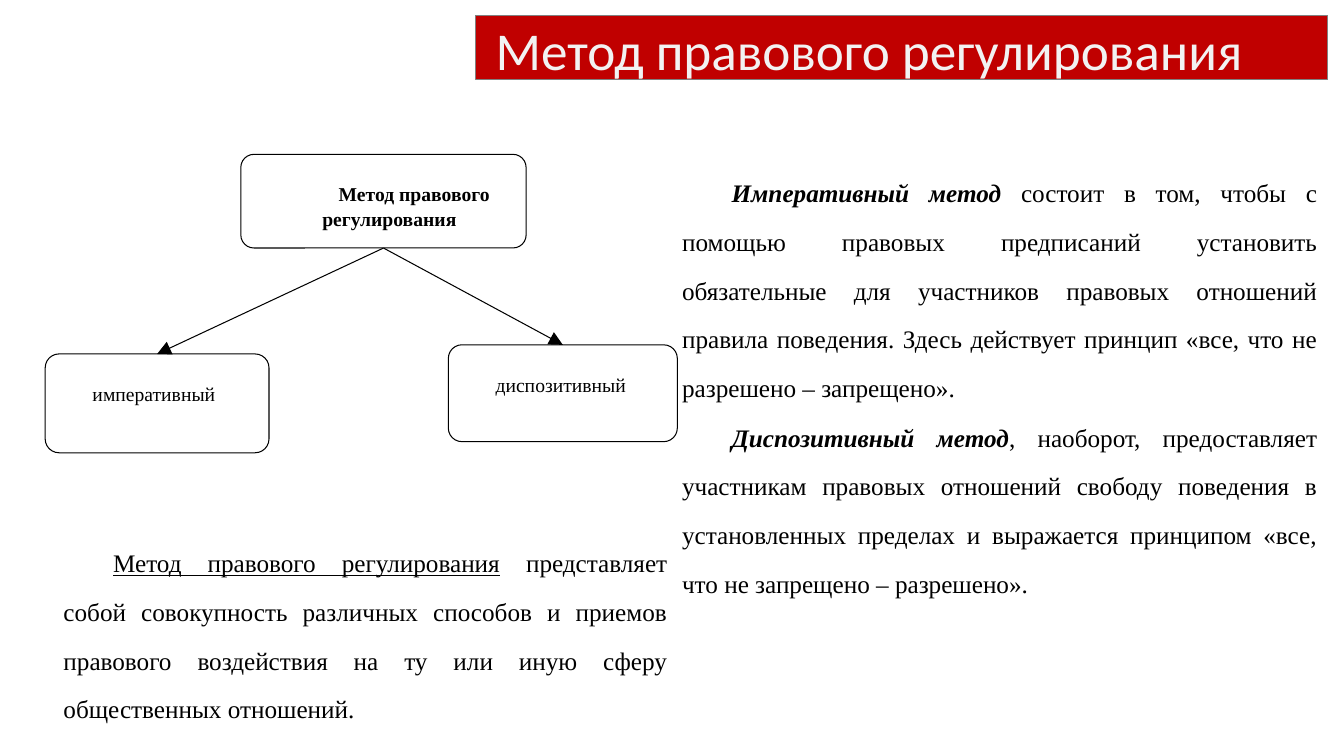
from lxml.etree import SubElement
from pptx import Presentation
from pptx.dml.color import RGBColor
from pptx.enum.shapes import MSO_CONNECTOR, MSO_SHAPE
from pptx.enum.text import MSO_ANCHOR, MSO_AUTO_SIZE, PP_ALIGN
from pptx.oxml.ns import qn
from pptx.util import Cm, Pt

COLORS = {
    "banner": "C00000",
    "banner_line": "808080",
    "banner_text": "F2F2F2",
    "ink": "000000",
}
BODY_FONT = "Times New Roman"
BOTTOM, TOP = 2, 0


def color(name):
    return RGBColor.from_string(COLORS[name])


def set_font(paragraph, name, size, color_name):
    paragraph.font.name = name
    paragraph.font.size = Pt(size)
    paragraph.font.color.rgb = color(color_name)


def set_margins(frame, left, top, right, bottom):
    frame.margin_left, frame.margin_top = Cm(left), Cm(top)
    frame.margin_right, frame.margin_bottom = Cm(right), Cm(bottom)


def format_paragraph(paragraph, size, alignment, spacing, after, indent=1.25):
    paragraph.alignment = alignment
    paragraph.line_spacing = spacing
    paragraph.space_after = Pt(after)
    properties = paragraph._p.get_or_add_pPr()
    properties.set("marL", "0")
    properties.set("indent", str(Cm(indent)))
    set_font(paragraph, BODY_FONT, size, "ink")


def format_title(title, text):
    title.left, title.top = Cm(11.99), Cm(0.38)
    title.width, title.height = Cm(21.46), Cm(1.63)
    title.fill.solid()
    title.fill.fore_color.rgb = color("banner")
    title.line.color.rgb = color("banner_line")
    title.line.width = Pt(0.75)
    frame = title.text_frame
    frame.text = text
    frame.word_wrap = True
    frame.auto_size = MSO_AUTO_SIZE.NONE
    frame.vertical_anchor = MSO_ANCHOR.MIDDLE
    set_margins(frame, 0.5, 0.8, 0.5, 0.5)
    paragraph = frame.paragraphs[0]
    paragraph.alignment = PP_ALIGN.LEFT
    paragraph.line_spacing = Pt(40)
    set_font(paragraph, "Calibri", 38, "banner_text")


def add_node(slide, text, bounds, alignment, margin_left, indent, bold=False):
    shape = slide.shapes.add_shape(
        MSO_SHAPE.ROUNDED_RECTANGLE, *[Cm(value) for value in bounds])
    shape.adjustments[0] = 0.14
    shape.shadow.inherit = False
    shape.fill.background()
    shape.line.color.rgb = color("ink")
    shape.line.width = Pt(0.75)
    frame = shape.text_frame
    frame.text = text
    frame.word_wrap = True
    frame.vertical_anchor = MSO_ANCHOR.TOP
    set_margins(frame, margin_left, 0.56, 0, 0)
    paragraph = frame.paragraphs[0]
    format_paragraph(paragraph, 14, alignment, 1.07, 8, indent)
    paragraph.font.bold = bold
    return shape


def add_arrow(slide, source, target):
    arrow = slide.shapes.add_connector(MSO_CONNECTOR.STRAIGHT, 0, 0, 0, 0)
    arrow.begin_connect(source, BOTTOM)
    arrow.end_connect(target, TOP)
    arrow.line.color.rgb = color("ink")
    arrow.line.width = Pt(0.75)
    SubElement(arrow.line._get_or_add_ln(), qn("a:tailEnd"),
               type="triangle", w="lg", len="lg")
    SubElement(arrow._element.spPr, qn("a:effectLst"))


def add_explanation(slide, bounds, entries, **term_style):
    box = slide.shapes.add_textbox(*[Cm(value) for value in bounds])
    frame = box.text_frame
    frame.word_wrap = True
    for index, (term, explanation) in enumerate(entries):
        paragraph = frame.add_paragraph() if index else frame.paragraphs[0]
        format_paragraph(paragraph, 18, PP_ALIGN.JUSTIFY, 1.61, 0.8)
        run = paragraph.add_run()
        run.text = term
        for attribute, value in term_style.items():
            setattr(run.font, attribute, value)
        paragraph.add_run().text = explanation


def main():
    presentation = Presentation()
    presentation.slide_width, presentation.slide_height = Cm(33.87), Cm(19.05)
    slide = presentation.slides.add_slide(presentation.slide_layouts[5])
    format_title(slide.shapes.title, "Метод правового регулирования")

    method = add_node(slide, "Метод правового регулирования",
                      (6.07, 3.89, 7.19, 2.36), PP_ALIGN.CENTER, 0.3, 1.25, True)
    for text, bounds in (
        ("императивный", (1.14, 8.92, 5.64, 2.49)),
        ("диспозитивный", (11.3, 8.69, 5.77, 2.44)),
    ):
        kind = add_node(slide, text, bounds, PP_ALIGN.LEFT, 0, 1.09)
        add_arrow(slide, method, kind)

    add_explanation(slide, (16.94, 3.89, 16.51, 11.28), [
        ("Императивный метод",
         " состоит в том, чтобы с помощью правовых предписаний установить "
         "обязательные для участников правовых отношений правила поведения. "
         "Здесь действует принцип «все, что не разрешено – запрещено»."),
        ("Диспозитивный метод",
         ", наоборот, предоставляет участникам правовых отношений свободу "
         "поведения в установленных пределах и выражается принципом "
         "«все, что не запрещено – разрешено»."),
    ], bold=True, italic=True)
    add_explanation(slide, (1.35, 13.21, 15.72, 5.05), [
        ("Метод правового регулирования",
         " представляет собой совокупность различных способов и приемов "
         "правового воздействия на ту или иную сферу общественных отношений."),
    ], underline=True)
    presentation.save("out.pptx")


if __name__ == "__main__":
    main()
